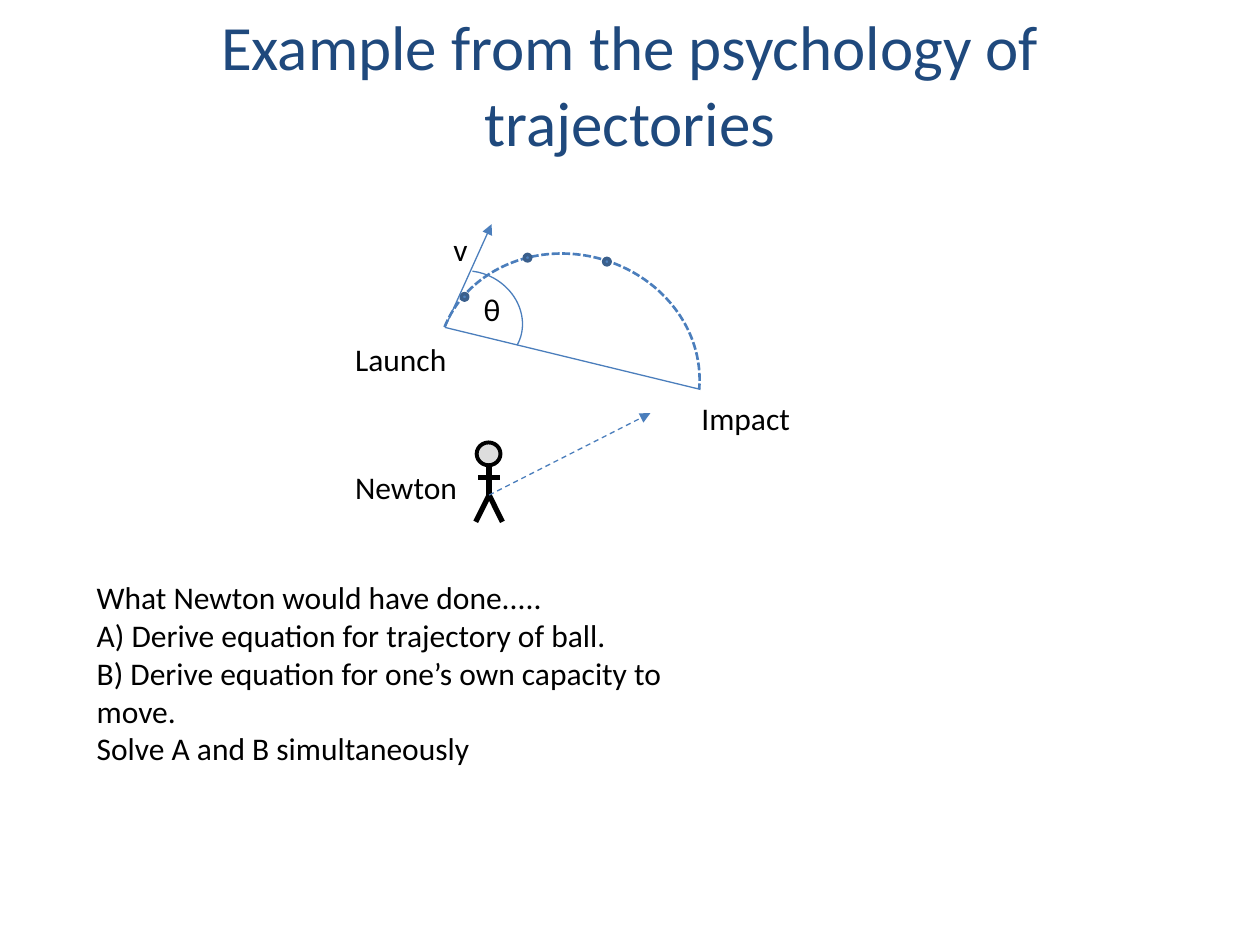
from dataclasses import dataclass
from typing import Optional

from lxml import etree
from pptx import Presentation
from pptx import util as u
from pptx.dml.color import RGBColor
from pptx.enum import dml, shapes, text
from pptx.oxml.ns import qn

BLUE, DOT_FILL, DOT_EDGE = "4B7EBC", "4F81BD", "3A5F8C"
NAVY, BLACK, GREY = "1F497D", "000000", "DDDDDD"
DASH, SHORT_DASH = dml.MSO_LINE.DASH, dml.MSO_LINE.SQUARE_DOT

Point = tuple[float, float]
Box = tuple[float, float, float, float]


@dataclass
class Stroke:
    color: str
    width: float
    dash: Optional[dml.MSO_LINE] = None


@dataclass
class Segment:
    start: Point
    end: Point
    stroke: Stroke
    arrow: bool = False


@dataclass
class Arc:
    box: Box
    rotation: float
    angles: Point
    stroke: Stroke


@dataclass
class Label:
    wording: str
    left: float
    top: float
    width: float


def rgb(color: str) -> RGBColor:
    return RGBColor.from_string(color)


def lengths(*values: float) -> list[u.Length]:
    return [u.Cm(value) for value in values]


def apply_stroke(line, stroke: Stroke) -> None:
    line.color.rgb = rgb(stroke.color)
    line.width = u.Pt(stroke.width)
    if stroke.dash is not None:
        line.dash_style = stroke.dash


def draw_segment(container, segment: Segment) -> None:
    connector = container.add_connector(
        shapes.MSO_CONNECTOR.STRAIGHT, *lengths(*segment.start, *segment.end))
    apply_stroke(connector.line, segment.stroke)
    properties = connector._element.spPr
    if segment.arrow:
        etree.SubElement(properties.find(qn("a:ln")), qn("a:tailEnd"), type="triangle")
    etree.SubElement(properties, qn("a:effectLst"))


def draw_ellipse(container, box: Box, fill: str, stroke: Stroke) -> None:
    ellipse = container.add_shape(shapes.MSO_SHAPE.OVAL, *lengths(*box))
    ellipse.shadow.inherit = False
    ellipse.fill.solid()
    ellipse.fill.fore_color.rgb = rgb(fill)
    apply_stroke(ellipse.line, stroke)


def draw_arc(container, arc: Arc) -> None:
    shape = container.add_shape(shapes.MSO_SHAPE.ARC, *lengths(*arc.box))
    shape.shadow.inherit = False
    shape.fill.background()
    shape.rotation = arc.rotation
    shape.adjustments[0], shape.adjustments[1] = arc.angles
    apply_stroke(shape.line, arc.stroke)


def draw_text(container, box: Box, lines: list[str], size: float = 18,
              color: str = BLACK, align=text.PP_ALIGN.LEFT, **frame_format) -> None:
    frame = container.add_textbox(*lengths(*box)).text_frame
    for name, value in frame_format.items():
        setattr(frame, name, value)
    frame.text = "\n".join(lines)
    font_format = {"name": "Calibri", "size": u.Pt(size)}
    for paragraph in frame.paragraphs:
        paragraph.alignment = align
        for name, value in font_format.items():
            setattr(paragraph.font, name, value)
        paragraph.font.color.rgb = rgb(color)


def draw_newton(container, hip: Point) -> None:
    """Draw the stick figure as one group, placed by its hip."""
    x, y = hip
    limb = Stroke(BLACK, 3)
    figure = container.add_group_shape().shapes
    segments = [
        Segment((x, y - 0.76), (x, y + 0.08), limb),
        Segment(hip, (x - 0.27, y + 0.54), limb),
        Segment(hip, (x + 0.27, y + 0.54), limb),
        Segment((x - 0.22, y - 0.35), (x + 0.22, y - 0.35), limb),
    ]
    for segment in segments:
        draw_segment(figure, segment)
    draw_ellipse(figure, (x - 0.25, y - 1.06, 0.48, 0.46), GREY, Stroke(BLACK, 2.25))


def main() -> None:
    presentation = Presentation()
    presentation.slide_width, presentation.slide_height = lengths(25.4, 19.05)
    slide = presentation.slides.add_slide(presentation.slide_layouts[6])
    canvas = slide.shapes

    draw_text(canvas, (1.27, 0.76, 22.86, 1.83),
              ["Example from the psychology of trajectories"], 36, NAVY,
              text.PP_ALIGN.CENTER, word_wrap=True,
              vertical_anchor=text.MSO_ANCHOR.MIDDLE)
    draw_text(canvas, (1.7, 11.53, 12.6, 5.64),
              ["What Newton would have done.....",
               "A) Derive equation for trajectory of ball.",
               "B) Derive equation for one’s own capacity to move.",
               "Solve A and B simultaneously"], word_wrap=True)

    thin = Stroke(BLUE, 0.75)
    launch, impact, hip = (8.97, 6.6), (14.12, 7.85), (9.86, 9.98)

    draw_arc(canvas, Arc((8.79, 5.13, 5.33, 4.8), 14.5, (111.65, 211.38),
                         Stroke(BLUE, 1.5, SHORT_DASH)))
    for left, top in [(9.3, 5.92), (10.57, 5.13), (12.17, 5.21)]:
        draw_ellipse(canvas, (left, top, 0.13, 0.13), DOT_FILL, Stroke(DOT_EDGE, 2))
    draw_segment(canvas, Segment(launch, impact, thin))
    draw_segment(canvas, Segment(launch, (9.91, 4.52), thin, arrow=True))
    draw_arc(canvas, Arc((8.43, 5.49, 2.13, 1.9), 29.3, (145.43, 0), thin))

    draw_newton(canvas, hip)
    draw_segment(canvas, Segment(hip, (13.11, 8.33), Stroke(BLUE, 0.75, DASH), arrow=True))

    labels = [
        Label("v", 8.89, 4.52, 0.81),
        Label("θ", 9.5, 5.72, 0.86),
        Label("Launch", 6.91, 6.73, 2.39),
        Label("Impact", 13.89, 7.92, 2.31),
        Label("Newton", 6.91, 9.32, 2.59),
    ]
    for label in labels:
        draw_text(canvas, (label.left, label.top, label.width, 1.02), [label.wording],
                  word_wrap=False, auto_size=text.MSO_AUTO_SIZE.SHAPE_TO_FIT_TEXT)

    presentation.save("out.pptx")


if __name__ == "__main__":
    main()
